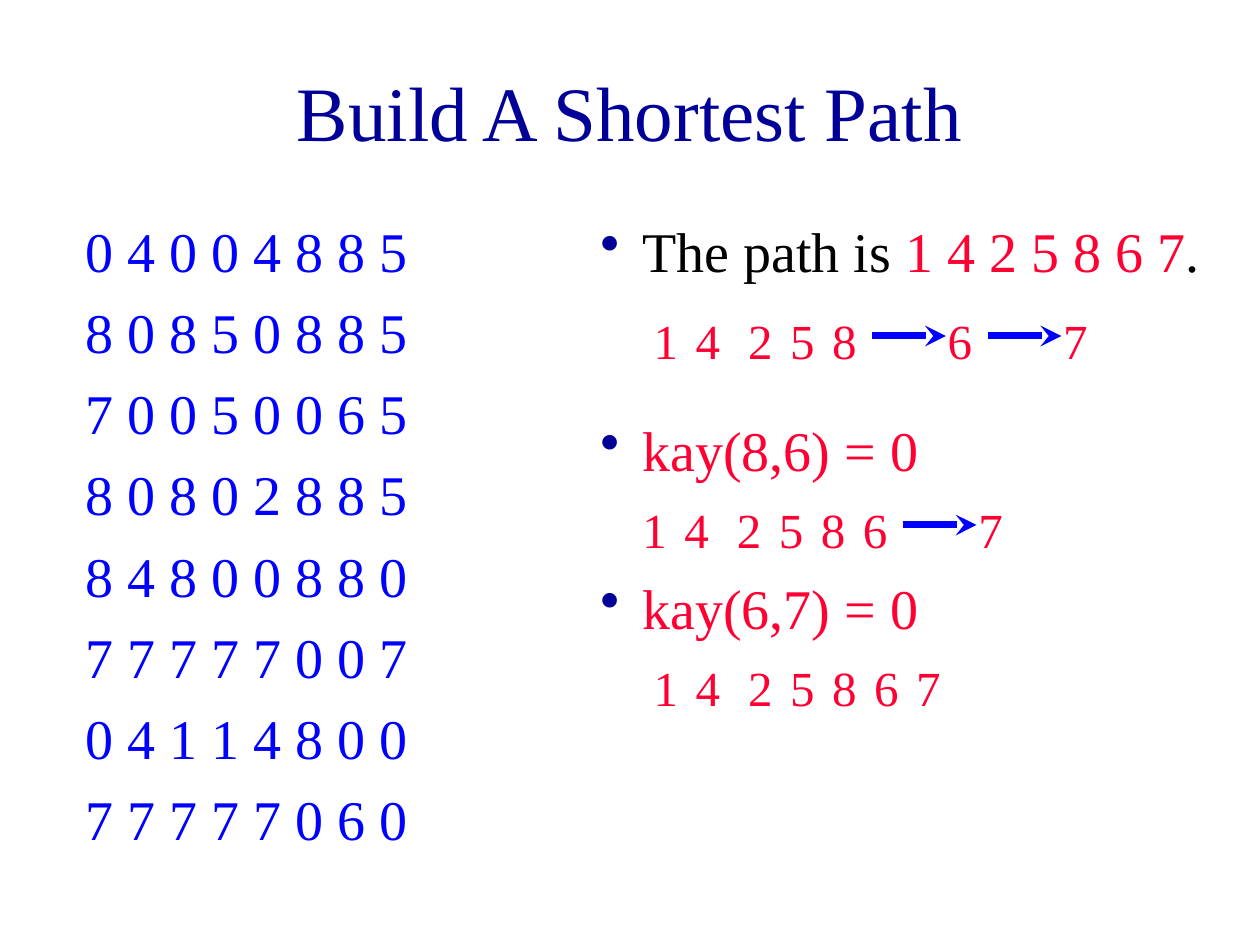
import pptx
import pptx.util
import pptx.dml.color
import pptx.enum.shapes
import pptx.enum.text
import pptx.oxml.ns
import lxml.etree

Pt = pptx.util.Pt
Align = pptx.enum.text.PP_ALIGN
Anchor = pptx.enum.text.MSO_ANCHOR

# Content
TITLE = "Build A Shortest Path"
KAY = [
    "0 4 0 0 4 8 8 5",
    "8 0 8 5 0 8 8 5",
    "7 0 0 5 0 0 6 5",
    "8 0 8 0 2 8 8 5",
    "8 4 8 0 0 8 8 0",
    "7 7 7 7 7 0 0 7",
    "0 4 1 1 4 8 0 0",
    "7 7 7 7 7 0 6 0",
]
PATH = "1425867"
# top of bullet, runs as (text, colour), left and top of digits, digits led by an arrow
STEPS = [
    (120, [("The path is ", "text"), ("1 4 2 5 8 6 7", "red"), (".", "text")],
     366.5, 174, "67"),
    (234, [("kay(8,6) = 0", "red")], 360, 282, "7"),
    (324, [("kay(6,7) = 0", "red")], 366.5, 372, ""),
]

THEME = {
    "font": "Times New Roman",
    "title": 44, "body": 32, "digit": 28,
    "navy": "000099", "blue": "0000FF", "red": "FF0033", "text": "000000",
}

# Digit spacing: normal step, step into the third digit, step over an arrow
STEP, WIDE, LEAP = 24, 30, 66
CELL, HIGH = 30, 41


def color(name):
    return pptx.dml.color.RGBColor.from_string(THEME[name])


def style(run, size, tint):
    run.font.name = THEME["font"]
    run.font.size = Pt(THEME[size])
    run.font.color.rgb = color(tint)


def add_text(slide, box, lines, size, gap=0):
    """Each line is a list of (text, colour) runs."""
    frame = slide.shapes.add_textbox(*map(Pt, box)).text_frame
    frame.word_wrap = True
    for num, line in enumerate(lines):
        para = frame.add_paragraph() if num else frame.paragraphs[0]
        if num:
            para.space_before = Pt(gap)
        for text, tint in line:
            run = para.add_run()
            run.text = text
            style(run, size, tint)
    return frame


def add_bullet(para, indent):
    props = para._p.get_or_add_pPr()
    props.set("marL", str(Pt(indent)))
    props.set("indent", str(-Pt(indent)))
    qn = pptx.oxml.ns.qn
    tint = lxml.etree.SubElement(props, qn("a:buClr"))
    lxml.etree.SubElement(tint, qn("a:srgbClr"), val=THEME["navy"])
    lxml.etree.SubElement(props, qn("a:buChar"), char="•")


def add_arrow(slide, left, right, y):
    kind = pptx.enum.shapes.MSO_CONNECTOR.STRAIGHT
    arrow = slide.shapes.add_connector(kind, Pt(left), Pt(y), Pt(right), Pt(y))
    arrow.line.color.rgb = color("blue")
    arrow.line.width = Pt(4)
    qn = pptx.oxml.ns.qn
    lxml.etree.SubElement(arrow.line._get_or_add_ln(), qn("a:tailEnd"), type="stealth")
    lxml.etree.SubElement(arrow._element.spPr, qn("a:effectLst"))


def add_path(slide, left, top, led):
    x = left
    for num, digit in enumerate(PATH):
        if digit in led:
            add_arrow(slide, x + CELL, x + LEAP + 6, top + 18)
            x += LEAP
        elif num:
            x += WIDE if num == 2 else STEP
        add_text(slide, (x, top, CELL, HIGH), [[(digit, "red")]], "digit")


def main():
    deck = pptx.Presentation()
    deck.slide_width, deck.slide_height = Pt(720), Pt(540)
    slide = deck.slides.add_slide(deck.slide_layouts[6])

    # Title
    frame = add_text(slide, (54, 18, 612, 90), [[(TITLE, "navy")]], "title")
    frame.vertical_anchor = Anchor.MIDDLE
    frame.paragraphs[0].alignment = Align.CENTER

    # Matrix of kay values
    rows = [[(row, "blue")] for row in KAY]
    add_text(slide, (42, 120, 228, 372), rows, "body", gap=8)

    # Steps that split the path
    for top, runs, left, low, led in STEPS:
        frame = add_text(slide, (336, top, 366, 45), [runs], "body")
        add_bullet(frame.paragraphs[0], 24)
        add_path(slide, left, low, led)

    deck.save("out.pptx")


if __name__ == "__main__":
    main()
